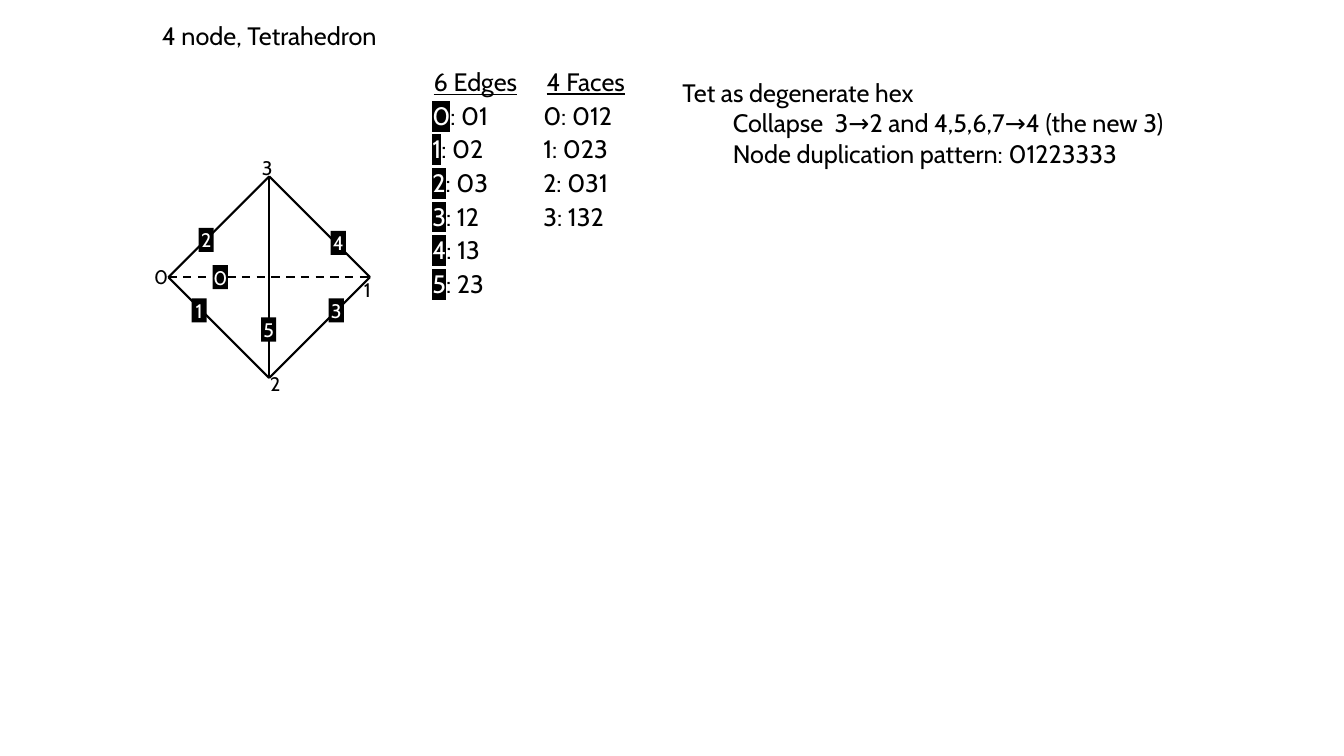
from lxml import etree
from pptx import Presentation
from pptx.dml.color import RGBColor
from pptx.enum import dml, shapes, text
from pptx.oxml import ns
from pptx.util import Inches, Pt

BLACK = RGBColor(0, 0, 0)
WHITE = RGBColor(255, 255, 255)


def add_run(paragraph, content, size=18, color=BLACK, underline=None):
    run = paragraph.add_run()
    run.text = content
    formats = {"name": "Cabin", "size": Pt(size), "underline": underline}
    for name, value in formats.items():
        setattr(run.font, name, value)
    run.font.color.rgb = color
    return run


def add_text_box(left, top, width, height, wrap=True):
    box = slide.shapes.add_textbox(Inches(left), Inches(top), Inches(width), Inches(height))
    box.text_frame.word_wrap = wrap
    box.text_frame.auto_size = text.MSO_AUTO_SIZE.SHAPE_TO_FIT_TEXT
    return box.text_frame


presentation = Presentation()
presentation.slide_width = Inches(13.33)
presentation.slide_height = Inches(7.5)
slide = presentation.slides.add_slide(presentation.slide_layouts[5])

title = slide.shapes.title
title_place = {"left": 0.67, "top": 0.15, "width": 4, "height": 0.4}
for name, value in title_place.items():
    setattr(title, name, Inches(value))
title.text_frame.vertical_anchor = text.MSO_ANCHOR.TOP
title.text_frame.auto_size = text.MSO_AUTO_SIZE.SHAPE_TO_FIT_TEXT
title_paragraph = title.text_frame.paragraphs[0]
title_paragraph.alignment = text.PP_ALIGN.CENTER
add_run(title_paragraph, "4 node, Tetrahedron")

nodes = [(1.67, 2.75), (3.67, 2.75), (2.67, 3.75), (2.67, 1.75)]
edges = ["01", "02", "03", "12", "13", "23"]
faces = ["012", "023", "031", "132"]

for edge in edges:
    start, end = (nodes[int(digit)] for digit in edge)
    line = slide.shapes.add_connector(
        shapes.MSO_CONNECTOR.STRAIGHT, *(Inches(value) for value in start + end))
    line.line.color.rgb = BLACK
    line.line.width = Pt(1.5)
    if edge == "01":
        line.line.dash_style = dml.MSO_LINE.DASH
    etree.SubElement(line._element.spPr, ns.qn("a:effectLst"))

node_labels = [(1.43, 2.58), (3.51, 2.71), (2.58, 3.64), (2.5, 1.5)]
for number, (left, top) in enumerate(node_labels):
    frame = add_text_box(left, top, 0.33, 0.34)
    add_run(frame.paragraphs[0], str(number), 14)

edge_labels = [(2.11, 2.63), (1.9, 2.96), (1.97, 2.26),
               (3.26, 2.96), (3.28, 2.29), (2.59, 3.15)]
for number, (left, top) in enumerate(edge_labels):
    label = slide.shapes.add_shape(
        shapes.MSO_SHAPE.RECTANGLE, Inches(left), Inches(top), Inches(0.15), Inches(0.24))
    label.shadow.inherit = False
    label.fill.solid()
    label.fill.fore_color.rgb = BLACK
    label.line.fill.background()
    frame = label.text_frame
    for side in ("left", "top", "right", "bottom"):
        setattr(frame, f"margin_{side}", 0)
    frame.word_wrap = True
    frame.auto_size = text.MSO_AUTO_SIZE.SHAPE_TO_FIT_TEXT
    frame.paragraphs[0].alignment = text.PP_ALIGN.CENTER
    add_run(frame.paragraphs[0], str(number), 14, WHITE)

lists = [("4 Faces", faces, 5.29, 1.04, 1.74, False),
         ("6 Edges", edges, 4.19, 1.05, 2.41, True)]
for heading, entries, left, width, height, highlighted in lists:
    frame = add_text_box(left, 0.61, width, height, wrap=False)
    frame.paragraphs[0].alignment = text.PP_ALIGN.CENTER
    add_run(frame.paragraphs[0], heading, underline=True)
    for number, entry in enumerate(entries):
        paragraph = frame.add_paragraph()
        paragraph.line_spacing = Pt(24)
        if highlighted:
            run = add_run(paragraph, str(number), color=WHITE)
            highlight = etree.Element(ns.qn("a:highlight"))
            etree.SubElement(highlight, ns.qn("a:srgbClr"), val=str(BLACK))
            run.font._element.find(ns.qn("a:solidFill")).addnext(highlight)
            add_run(paragraph, f": {entry}")
        else:
            add_run(paragraph, f"{number}: {entry}")

hex_notes = add_text_box(6.67, 0.72, 5.42, 1.01)
add_run(hex_notes.paragraphs[0], "Tet as degenerate hex")
for note in ("Collapse  3→2 and 4,5,6,7→4 (the new 3)",
             "Node duplication pattern: 01223333"):
    paragraph = hex_notes.add_paragraph()
    paragraph.level = 1
    add_run(paragraph, note)

presentation.save("out.pptx")
